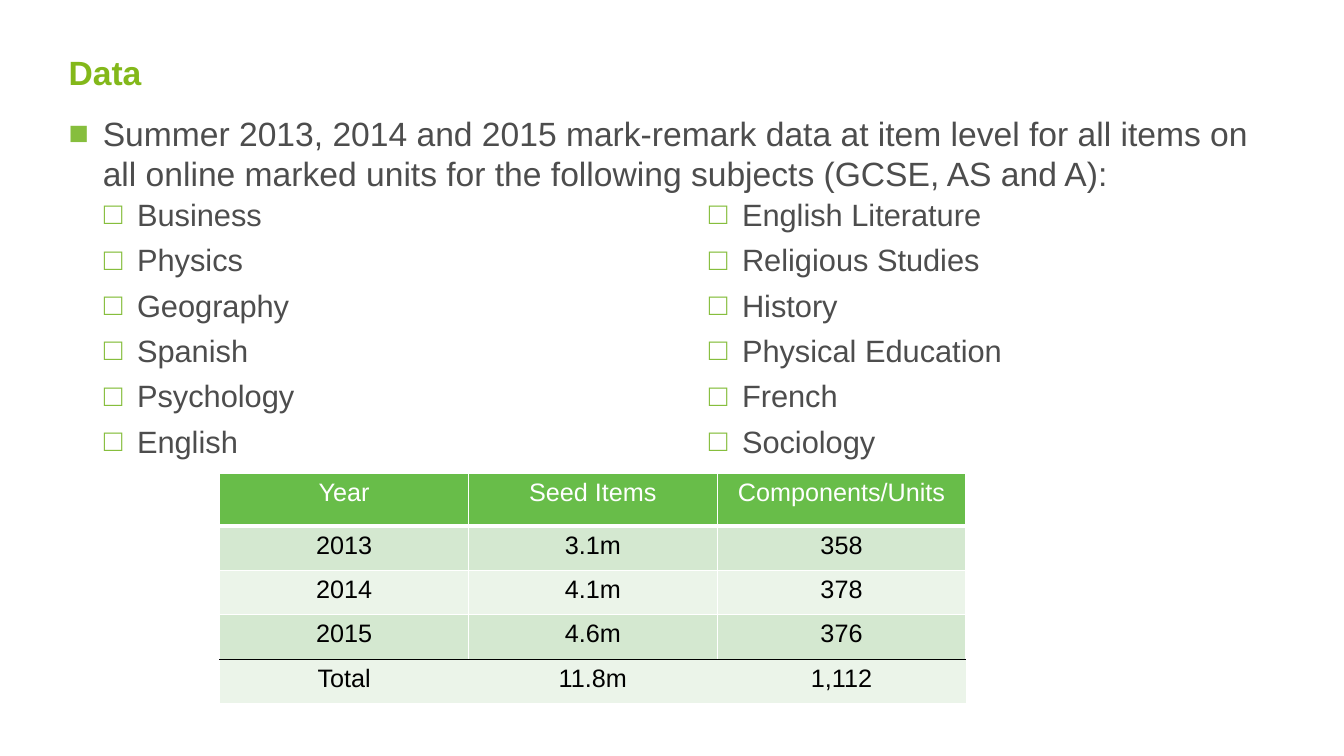
from dataclasses import dataclass

from lxml import etree
from pptx import Presentation
from pptx.dml.color import RGBColor
from pptx.enum.text import MSO_ANCHOR, PP_ALIGN
from pptx.oxml.ns import qn
from pptx.util import Inches, Pt

TOP = MSO_ANCHOR.TOP
CENTER = PP_ALIGN.CENTER


@dataclass(frozen=True)
class Theme:
    """Colours, font and type sizes of the slide."""
    font: str = "Arial"
    title: str = "83B81A"
    mark: str = "86BE3D"
    text: str = "4D4D4D"
    head: str = "68BD49"
    dark: str = "D4E8D0"
    light: str = "EBF4E9"
    white: str = "FFFFFF"
    black: str = "000000"
    large: int = 24
    medium: int = 22
    small: int = 18


THEME = Theme()
SUBJECTS = [
    "Business", "Physics", "Geography", "Spanish", "Psychology", "English",
    "English Literature", "Religious Studies", "History",
    "Physical Education", "French", "Sociology",
]
ROWS = [
    ("Year", "Seed Items", "Components/Units"),
    ("2013", "3.1m", "358"),
    ("2014", "4.1m", "378"),
    ("2015", "4.6m", "376"),
    ("Total", "11.8m", "1,112"),
]


def add_run(para, text, size, color, bold=False):
    """Add one styled run to a paragraph."""
    run = para.add_run()
    run.text = text
    font = run.font
    font.name, font.size, font.bold = THEME.font, Pt(size), bold
    font.color.rgb = RGBColor.from_string(color)


def add_frame(slide, box, inset):
    """Add a wrapped text box and return its text frame."""
    frame = slide.shapes.add_textbox(*map(Inches, box)).text_frame
    frame.word_wrap = True
    frame.vertical_anchor = TOP
    frame.margin_left = frame.margin_right = 0
    frame.margin_top, frame.margin_bottom = Inches(inset), Inches(0.04)
    return frame


def set_bullet(para, char, left, hang):
    """Give a paragraph a coloured bullet and a hanging indent."""
    props = para._p.get_or_add_pPr()
    props.set("marL", str(Inches(left)))
    props.set("indent", str(-Inches(hang)))
    color = etree.SubElement(props, qn("a:buClr"))
    etree.SubElement(color, qn("a:srgbClr"), val=THEME.mark)
    etree.SubElement(props, qn("a:buFont"), typeface=THEME.font)
    etree.SubElement(props, qn("a:buChar"), char=char)


def add_title(slide, box, text):
    """Place the slide title."""
    para = add_frame(slide, box, 0.08).paragraphs[0]
    add_run(para, text, THEME.large, THEME.title, True)


def add_intro(slide, box, text):
    """Place the opening bullet."""
    para = add_frame(slide, box, 0.08).paragraphs[0]
    para.space_after = Pt(6)
    set_bullet(para, "■", 0.34, 0.34)
    add_run(para, text, THEME.large, THEME.text)


def add_list(slide, box, items):
    """Place the items as a bullet list in two columns."""
    frame = add_frame(slide, box, 0.04)
    frame._txBody.bodyPr.set("numCol", "2")
    for i, item in enumerate(items):
        para = frame.add_paragraph() if i else frame.paragraphs[0]
        para.level = 1
        para.space_after = Pt(6)
        set_bullet(para, "□", 0.68, 0.33)
        add_run(para, item, THEME.medium, THEME.text)


def set_edge(cell, side, color, width=1):
    """Draw one cell border, or clear it when there is no colour."""
    props = cell._tc.get_or_add_tcPr()
    line = etree.SubElement(props, qn(f"a:ln{side}"), w=str(Pt(width)))
    if color:
        fill = etree.SubElement(line, qn("a:solidFill"))
        etree.SubElement(fill, qn("a:srgbClr"), val=color)
    else:
        etree.SubElement(line, qn("a:noFill"))


def add_grid(slide, box, rows):
    """Place the table with a header, banded rows and a ruled total."""
    last = len(rows) - 1
    shape = slide.shapes.add_table(len(rows), len(rows[0]), *map(Inches, box))
    table = shape.table
    table.first_row = table.horz_banding = False
    for col in table.columns:
        col.width = Inches(box[2] / len(rows[0]))
    for r, row in enumerate(rows):
        table.rows[r].height = Inches(0.44 if r else 0.52)
        fill = (THEME.dark if r % 2 else THEME.light) if r else THEME.head
        side = None if r == last else THEME.white
        edges = {
            "L": side,
            "R": side,
            "T": THEME.black if r == last else THEME.white,
            "B": THEME.black if r == last - 1 else side,
        }
        for c, text in enumerate(row):
            cell = table.cell(r, c)
            for name, color in edges.items():
                set_edge(cell, name, color, 1 if r or name != "B" else 3)
            cell.fill.solid()
            cell.fill.fore_color.rgb = RGBColor.from_string(fill)
            cell.vertical_anchor = TOP
            para = cell.text_frame.paragraphs[0]
            para.alignment = CENTER
            add_run(para, text, THEME.small, THEME.black if r else THEME.white)


def main():
    """Build the slide and save it."""
    deck = Presentation()
    deck.slide_width, deck.slide_height = Inches(13.33), Inches(7.5)
    slide = deck.slides.add_slide(deck.slide_layouts[6])
    add_title(slide, (0.68, 0.44, 9.25, 0.63), "Data")
    add_list(slide, (0.68, 1.9, 12, 3.07), SUBJECTS)
    add_intro(
        slide, (0.68, 1.04, 12, 3.07),
        "Summer 2013, 2014 and 2015 mark-remark data at item level for all "
        "items on all online marked units for the following subjects "
        "(GCSE, AS and A):",
    )
    add_grid(slide, (2.18, 4.7, 7.4, 2.28), ROWS)
    deck.save("out.pptx")


if __name__ == "__main__":
    main()
